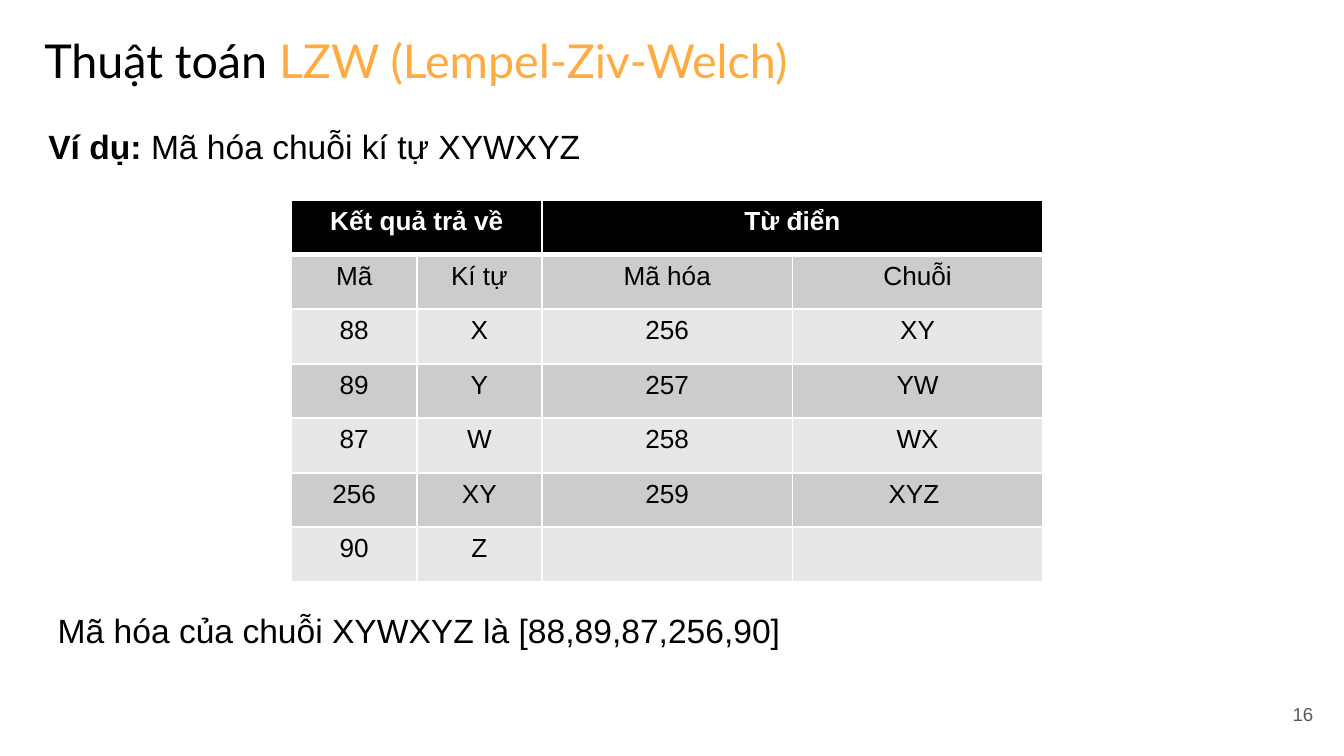
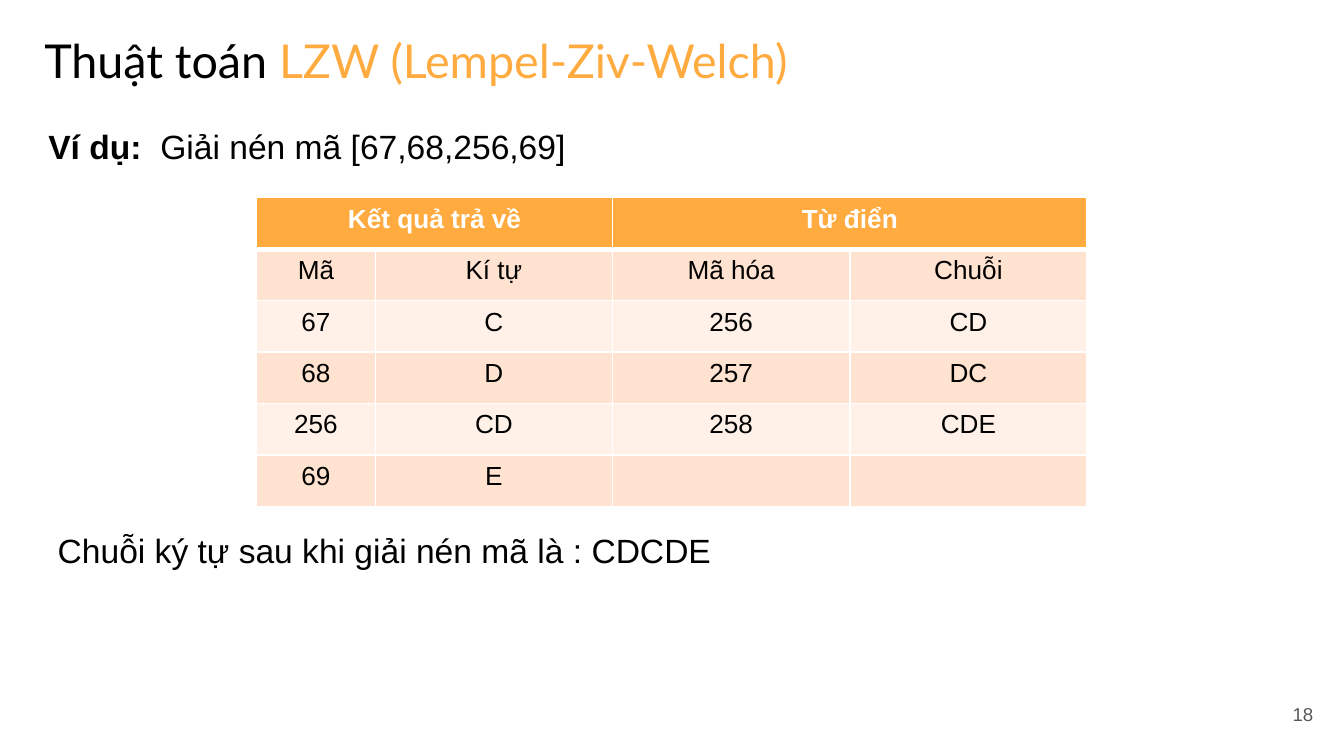
from dataclasses import dataclass

from lxml.etree import SubElement
from pptx import Presentation
from pptx.dml.color import RGBColor as Color
from pptx.enum.text import MSO_ANCHOR as Anchor, MSO_AUTO_SIZE as AutoSize, PP_ALIGN as Align
from pptx.oxml.ns import qn
from pptx.util import Inches, Pt


@dataclass(frozen=True)
class Theme:
    title_font: str = "Lato"
    body_font: str = "Arial"
    title_size: int = 25
    body_size: int = 18
    body_line: float = 21.6
    cell_size: int = 14
    number_size: int = 10
    black: str = "000000"
    white: str = "FFFFFF"
    orange: str = "FFAB40"
    gray: str = "595959"
    # Header, odd row and even row fills
    gray_table: tuple = ("000000", "CCCCCC", "E7E7E7")
    orange_table: tuple = ("FFAB40", "FFE2CF", "FFF1E8")


THEME = Theme()
TITLE = (("Thuật toán ", THEME.black), ("LZW (Lempel-Ziv-Welch)", THEME.orange))
HEADINGS = (
    ("Kết quả trả về", "", "Từ điển", ""),
    ("Mã", "Kí tự", "Mã hóa", "Chuỗi"),
)


def write(paragraph, text, font=THEME.body_font, size=THEME.body_size,
          color=THEME.black, bold=False, align=Align.LEFT):
    """Append a formatted run; an empty text only sets the paragraph's size."""
    paragraph.alignment = align
    if not text:
        paragraph._p.get_or_add_endParaRPr().set("sz", str(size * 100))
        return
    run = paragraph.add_run()
    run.text = text
    run.font.name = font
    run.font.size = Pt(size)
    run.font.bold = bold
    run.font.color.rgb = Color.from_string(color)


def place(shape, left, top, width, height):
    shape.left, shape.top = Inches(left), Inches(top)
    shape.width, shape.height = Inches(width), Inches(height)


def prepare_frame(shape, anchor=Anchor.TOP):
    frame = shape.text_frame
    frame.word_wrap = True
    frame.auto_size = AutoSize.NONE
    frame.vertical_anchor = anchor
    return frame


def add_title(slide):
    title = slide.shapes.title
    place(title, 0.23, 0.19, 5.93, 0.52)
    paragraph = prepare_frame(title).paragraphs[0]
    for text, color in TITLE:
        write(paragraph, text, font=THEME.title_font, size=THEME.title_size, color=color)


def format_body_paragraph(paragraph, lines_before):
    paragraph.line_spacing = Pt(THEME.body_line)
    paragraph.space_before = Pt(lines_before * THEME.body_line)
    properties = paragraph._p.get_or_add_pPr()
    properties.set("marL", "0")
    properties.set("indent", "0")
    SubElement(properties, qn("a:buNone"))


def add_body(slide, label, task, answer, height, gap_lines):
    """Put the task above the table and the answer gap_lines below it."""
    body = slide.placeholders[1]
    place(body, 0.26, 0.89, 8.93, height)
    frame = prepare_frame(body)
    task_paragraph = frame.paragraphs[0]
    format_body_paragraph(task_paragraph, 0)
    write(task_paragraph, label, bold=True)
    write(task_paragraph, task)
    answer_paragraph = frame.add_paragraph()
    format_body_paragraph(answer_paragraph, gap_lines)
    write(answer_paragraph, answer)


def add_slide_number(slide, number):
    box = slide.shapes.add_textbox(Inches(9.27), Inches(5.1), Inches(0.6), Inches(0.43))
    frame = prepare_frame(box, Anchor.MIDDLE)
    frame.margin_top = frame.margin_bottom = Inches(0.1)
    write(frame.paragraphs[0], str(number), size=THEME.number_size,
          color=THEME.gray, align=Align.RIGHT)


def set_borders(cell, top, bottom):
    """Draw white borders; top and bottom are widths in points."""
    properties = cell._tc.get_or_add_tcPr()
    widths = {"lnL": 1, "lnR": 1, "lnT": top, "lnB": bottom}
    for index, (side, width) in enumerate(widths.items()):
        line = SubElement(properties, qn(f"a:{side}"), w=str(Pt(width)))
        fill = SubElement(line, qn("a:solidFill"))
        SubElement(fill, qn("a:srgbClr"), val=THEME.white)
        properties.insert(index, line)


def add_code_table(slide, rows, area, column_shares, fills):
    left, top, width, height = area
    rows = HEADINGS + rows
    frame = slide.shapes.add_table(len(rows), len(column_shares), Inches(left),
                                   Inches(top), Inches(width), Inches(height))
    table = frame.table
    table.first_row = table.horz_banding = False
    for column, share in zip(table.columns, column_shares):
        column.width = Inches(width * share / sum(column_shares))
    for first in (0, 2):
        table.cell(0, first).merge(table.cell(0, first + 1))

    header_fill, odd_fill, even_fill = fills
    for row_index, row in enumerate(rows):
        is_header = row_index == 0
        row_fill = header_fill if is_header else odd_fill if row_index % 2 else even_fill
        for column_index, text in enumerate(row):
            cell = table.cell(row_index, column_index)
            cell.fill.solid()
            cell.fill.fore_color.rgb = Color.from_string(row_fill)
            set_borders(cell, top=3 if row_index == 1 else 1, bottom=3 if is_header else 1)
            write(cell.text_frame.paragraphs[0], text, size=THEME.cell_size,
                  color=THEME.white if is_header else THEME.black,
                  bold=is_header, align=Align.CENTER)


def add_example_slide(presentation, number, body, table):
    slide = presentation.slides.add_slide(presentation.slide_layouts[1])
    add_slide_number(slide, number)
    add_title(slide)
    add_body(slide, **body)
    add_code_table(slide, **table)


def main():
    presentation = Presentation()
    presentation.slide_width = Inches(10)
    presentation.slide_height = Inches(10 * 9 / 16)

    add_example_slide(
        presentation, 16,
        body=dict(label="Ví dụ: ", task="Mã hóa chuỗi kí tự XYWXYZ",
                  answer=" Mã hóa của chuỗi XYWXYZ là [88,89,87,256,90]",
                  height=4.34, gap_lines=11),
        table=dict(
            rows=(
                ("88", "X", "256", "XY"),
                ("89", "Y", "257", "YW"),
                ("87", "W", "258", "WX"),
                ("256", "XY", "259", "XYZ "),
                ("90", "Z", "", ""),
            ),
            area=(2.17, 1.49, 5.59, 2.84), column_shares=(1, 1, 2, 2),
            fills=THEME.gray_table),
    )
    add_example_slide(
        presentation, 18,
        body=dict(label="Ví dụ:  ", task="Giải nén mã [67,68,256,69]",
                  answer=" Chuỗi ký tự sau khi giải nén mã là : CDCDE",
                  height=3.74, gap_lines=9),
        table=dict(
            rows=(
                ("67", "C", "256", "CD"),
                ("68", "D", "257", "DC"),
                ("256", "CD", "258", "CDE"),
                ("69", "E", "", ""),
            ),
            area=(1.91, 1.47, 6.18, 2.3), column_shares=(1, 2, 2, 2),
            fills=THEME.orange_table),
    )
    presentation.save("out.pptx")


if __name__ == "__main__":
    main()
